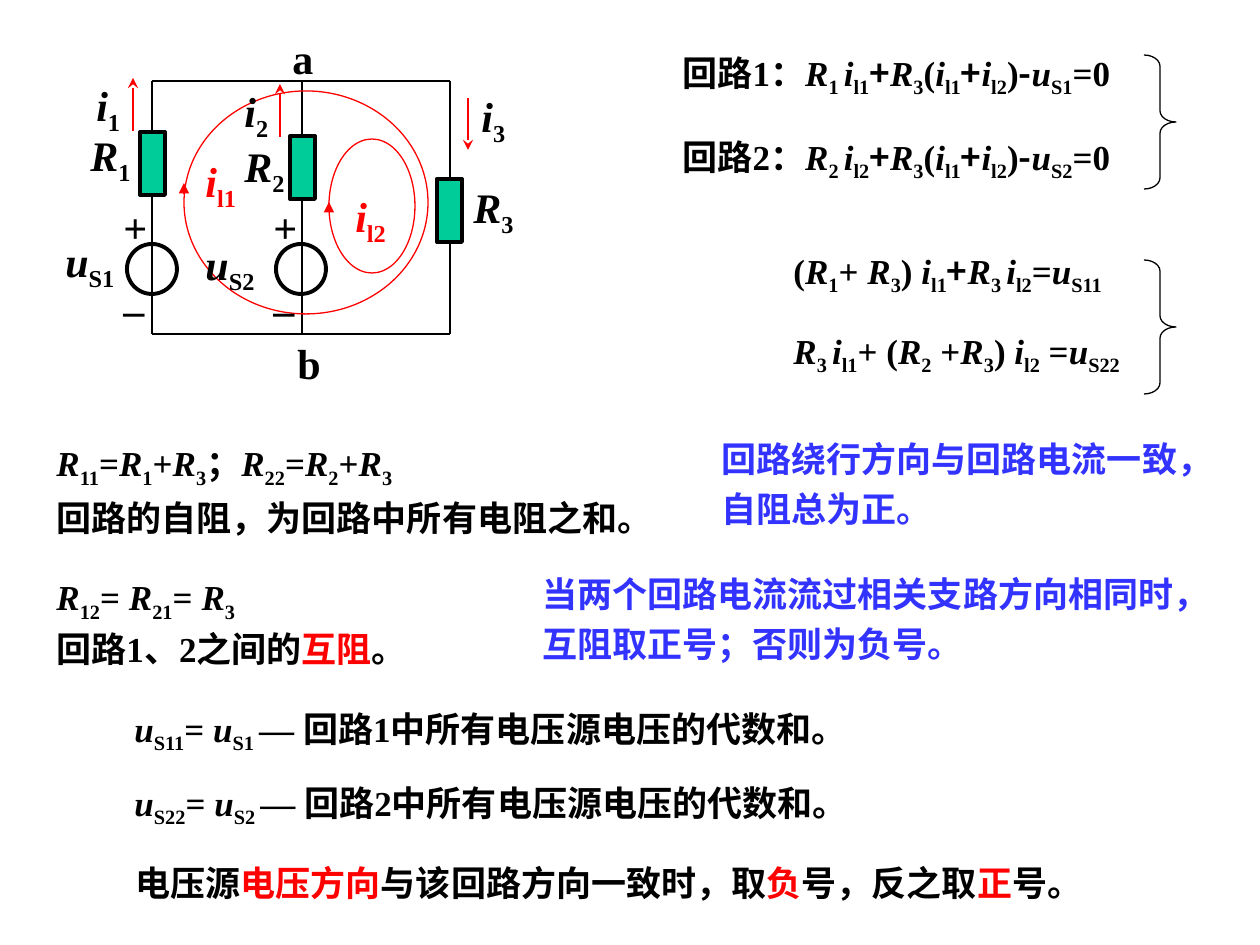
import dataclasses
import itertools
import typing

import lxml.etree
import pptx
import pptx.dml.color
import pptx.enum.shapes
import pptx.enum.text
import pptx.oxml.ns
import pptx.util

EMU_PER_PX = 914400 / 126
SHAPES = pptx.enum.shapes.MSO_SHAPE
qualified = pptx.oxml.ns.qn


@dataclasses.dataclass(frozen=True)
class Theme:
    ink: str = "000000"
    accent: str = "FF0000"
    note: str = "3333FF"
    resistor: str = "00CC99"
    latin: str = "Times New Roman"
    chinese: str = "Noto Sans CJK SC"
    label: int = 24
    body: int = 20
    space_before: float = 12.5
    thin: float = 0.75
    wire: float = 1.5
    outline: float = 2.25


THEME = Theme()


class Box(typing.NamedTuple):
    left: int
    top: int
    width: int
    height: int


class Style(typing.NamedTuple):
    italic: bool
    subscript: bool
    accent: bool
    sans: bool


@dataclasses.dataclass(frozen=True)
class Text:
    box: Box
    paragraphs: tuple[str, ...]
    size: int = THEME.body
    color: str = THEME.ink
    line_spacing: float = 1.0
    wrap: bool = True
    justified: bool = False


@dataclasses.dataclass(frozen=True)
class Line:
    start: tuple[int, int]
    end: tuple[int, int]
    color: str = THEME.ink
    weight: float = THEME.wire
    head: str = ""


@dataclasses.dataclass(frozen=True)
class Outline:
    kind: SHAPES
    box: Box
    color: str = THEME.ink
    weight: float = THEME.thin
    fill: str = ""


def px(length: int) -> int:
    return round(length * EMU_PER_PX)


def rgb(color: str) -> pptx.dml.color.RGBColor:
    return pptx.dml.color.RGBColor.from_string(color)


def styled_characters(markup: str) -> typing.Iterator[tuple[str, Style]]:
    opened = {"{": False, "[": False, "<": False}
    closing = {"}": "{", "]": "[", ">": "<"}
    for character in markup:
        if character in opened:
            opened[character] = True
        elif character in closing:
            opened[closing[character]] = False
        else:
            italic = character in "Riu" and not opened["{"]
            yield character, Style(italic, *opened.values())


def fill_paragraph(paragraph, markup: str, text: Text) -> None:
    font = paragraph.font
    font.name, font.size, font.bold = THEME.latin, pptx.util.Pt(text.size), True
    font.color.rgb = rgb(text.color)
    defaults = paragraph._p.pPr.find(qualified("a:defRPr"))
    lxml.etree.SubElement(defaults, qualified("a:ea"), typeface=THEME.chinese)
    for style, group in itertools.groupby(styled_characters(markup), lambda pair: pair[1]):
        run = paragraph.add_run()
        run.text = "".join(character for character, _ in group)
        if style.italic:
            run.font.italic = True
        if style.subscript:
            run._r.get_or_add_rPr().set("baseline", "-25000")
        if style.accent:
            run.font.color.rgb = rgb(THEME.accent)
        if style.sans:
            run.font.name = THEME.chinese


def draw_text(slide, text: Text) -> None:
    frame = slide.shapes.add_textbox(*map(px, text.box)).text_frame
    frame.word_wrap = text.wrap
    frame.auto_size = pptx.enum.text.MSO_AUTO_SIZE.SHAPE_TO_FIT_TEXT
    for index, markup in enumerate(text.paragraphs):
        paragraph = frame.add_paragraph() if index else frame.paragraphs[0]
        if index:
            paragraph.space_before = pptx.util.Pt(THEME.space_before)
        paragraph.line_spacing = text.line_spacing
        if text.justified:
            paragraph.alignment = pptx.enum.text.PP_ALIGN.JUSTIFY
        fill_paragraph(paragraph, markup, text)


def draw_line(slide, line: Line) -> None:
    connector = slide.shapes.add_connector(
        pptx.enum.shapes.MSO_CONNECTOR.STRAIGHT, *map(px, line.start + line.end))
    connector.line.color.rgb = rgb(line.color)
    connector.line.width = pptx.util.Pt(line.weight)
    if line.head:
        stroke = connector.line._get_or_add_ln()
        lxml.etree.SubElement(stroke, qualified("a:tailEnd"), type=line.head)
    lxml.etree.SubElement(connector._element.spPr, qualified("a:effectLst"))


def draw_outline(slide, outline: Outline) -> None:
    shape = slide.shapes.add_shape(outline.kind, *map(px, outline.box))
    shape.shadow.inherit = False
    shape.line.color.rgb = rgb(outline.color)
    shape.line.width = pptx.util.Pt(outline.weight)
    if outline.fill:
        shape.fill.solid()
        shape.fill.fore_color.rgb = rgb(outline.fill)
    else:
        shape.fill.background()
    if outline.kind == SHAPES.RIGHT_BRACE:
        shape.adjustments[0] = 0.35


LEFT, MIDDLE, RIGHT, TOP, BOTTOM = 152, 302, 450, 81, 334
WIRES = [Line((x, TOP), (x, BOTTOM)) for x in (LEFT, MIDDLE, RIGHT)]
WIRES += [Line((LEFT, y), (RIGHT, y)) for y in (TOP, BOTTOM)]

ARROWS = [
    Line((x, start), (x, end), THEME.accent, THEME.thin, head)
    for x, start, end, head in (
        (133, 131, 78, "stealth"), (280, 137, 84, "stealth"), (468, 98, 150, "stealth"),
        (184, 194, 183, "triangle"), (329, 209, 202, "triangle"))
]

RESISTORS = [
    Outline(SHAPES.RECTANGLE, Box(x, y, 25, 63), THEME.ink, THEME.outline, THEME.resistor)
    for x, y in ((140, 132), (290, 136), (437, 179))
]
SOURCES = [Outline(SHAPES.OVAL, Box(x, 244, 50, 50), weight=THEME.outline) for x in (127, 276)]
LOOPS = [
    Outline(SHAPES.OVAL, box, THEME.accent)
    for box in (Box(184, 91, 244, 223), Box(329, 139, 86, 134))
]
BRACES = [Outline(SHAPES.RIGHT_BRACE, Box(1144, y, 32, 134)) for y in (55, 260)]

LABELS = [
    Text(Box(x, y, width, 71), (markup,), THEME.label)
    for markup, x, y, width in (
        ("i{1}", 84, 73, 62), ("i{2}", 232, 79, 62), ("i{3}", 469, 84, 82),
        ("R{1}", 78, 123, 82), ("R{2}", 232, 134, 87), ("R{3}", 461, 175, 82),
        ("u{S1}", 53, 229, 91), ("u{S2}", 193, 232, 110))
]
LABELS += [
    Text(Box(x, y, 62, 71), (markup,), THEME.label, THEME.accent)
    for markup, x, y in (("i{l1}", 193, 149), ("i{l2}", 343, 184))
]
LABELS += [
    Text(Box(x, y, 48, 63), (sign,), THEME.label)
    for x in (111, 261) for sign, y in (("+", 195), ("–", 277))
]
LABELS += [
    Text(Box(x, y, width, 63), (node,), THEME.label, wrap=False)
    for node, x, y, width in (("a", 280, 26, 45), ("b", 285, 331, 48))
]

EQUATIONS = [
    Text(Box(670, y, 488, 60),
         (f"回路{loop}：R{{{loop} }}i{{l{loop}}}<+>R{{3}}(i{{l1}}<+>i{{l2}})<->u{{S{loop}}}=0",))
    for loop, y in ((1, 45), (2, 129))
]
EQUATIONS += [
    Text(Box(781, 243, 367, 60), ("(R{1}+ R{3}) i{l1}<+>R{3 }i{l2}=u{S11}",)),
    Text(Box(781, 323, 387, 60), ("R{3 }i{l1}+ (R{2} +R{3}) i{l2} =u{S22}",)),
]

STATEMENTS = [
    Text(Box(44, 442, 674, 102),
         ("R{11}=R{1}+R{3}；R{22}=R{2}+R{3}", "回路的自阻，为回路中所有电阻之和。"),
         line_spacing=0.75),
    Text(Box(44, 578, 427, 98), ("R{12}= R{21}= R{3}", "回路1、2之间的[互阻]。"),
         line_spacing=0.7),
    Text(Box(709, 423, 541, 113), ("回路绕行方向与回路电流一致，自阻总为正。",),
         color=THEME.note, line_spacing=1.2),
    Text(Box(530, 558, 718, 113), ("当两个回路电流流过相关支路方向相同时，互阻取正号；否则为负号。",),
         color=THEME.note, line_spacing=1.2),
    Text(Box(123, 847, 1042, 63), ("电压源[电压方向]与该回路方向一致时，取[负]号，反之取[正]号。",),
         line_spacing=1.2, justified=True),
]
STATEMENTS += [
    Text(Box(122, y, 805, 60),
         (f"u{{S{loop}{loop}}}= u{{S{loop} }}— 回路{loop}中所有电压源电压的代数和。",))
    for loop, y in ((1, 701), (2, 775))
]


def main() -> None:
    presentation = pptx.Presentation()
    presentation.slide_width, presentation.slide_height = px(1260), px(945)
    slide = presentation.slides.add_slide(presentation.slide_layouts[6])
    for line in WIRES:
        draw_line(slide, line)
    for outline in RESISTORS + SOURCES + LOOPS + BRACES:
        draw_outline(slide, outline)
    for line in ARROWS:
        draw_line(slide, line)
    for text in LABELS + EQUATIONS + STATEMENTS:
        draw_text(slide, text)
    presentation.save("out.pptx")


if __name__ == "__main__":
    main()
